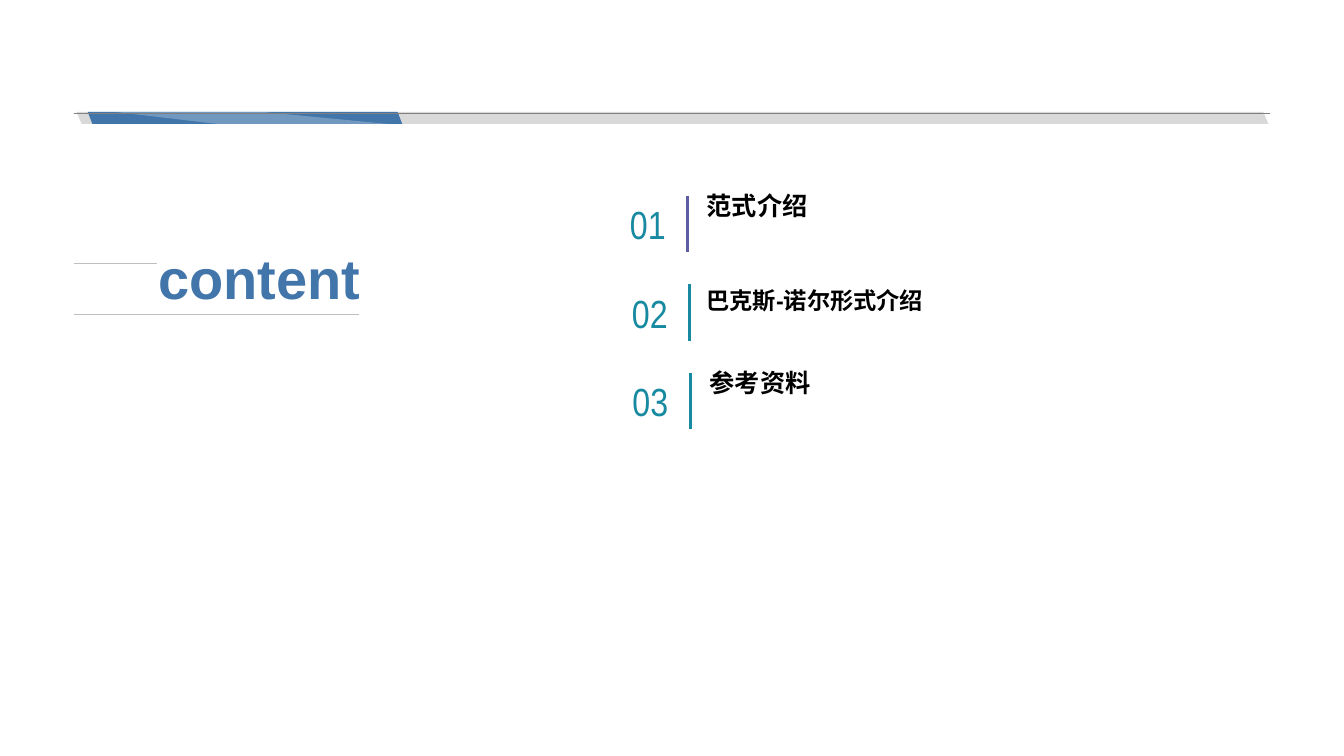
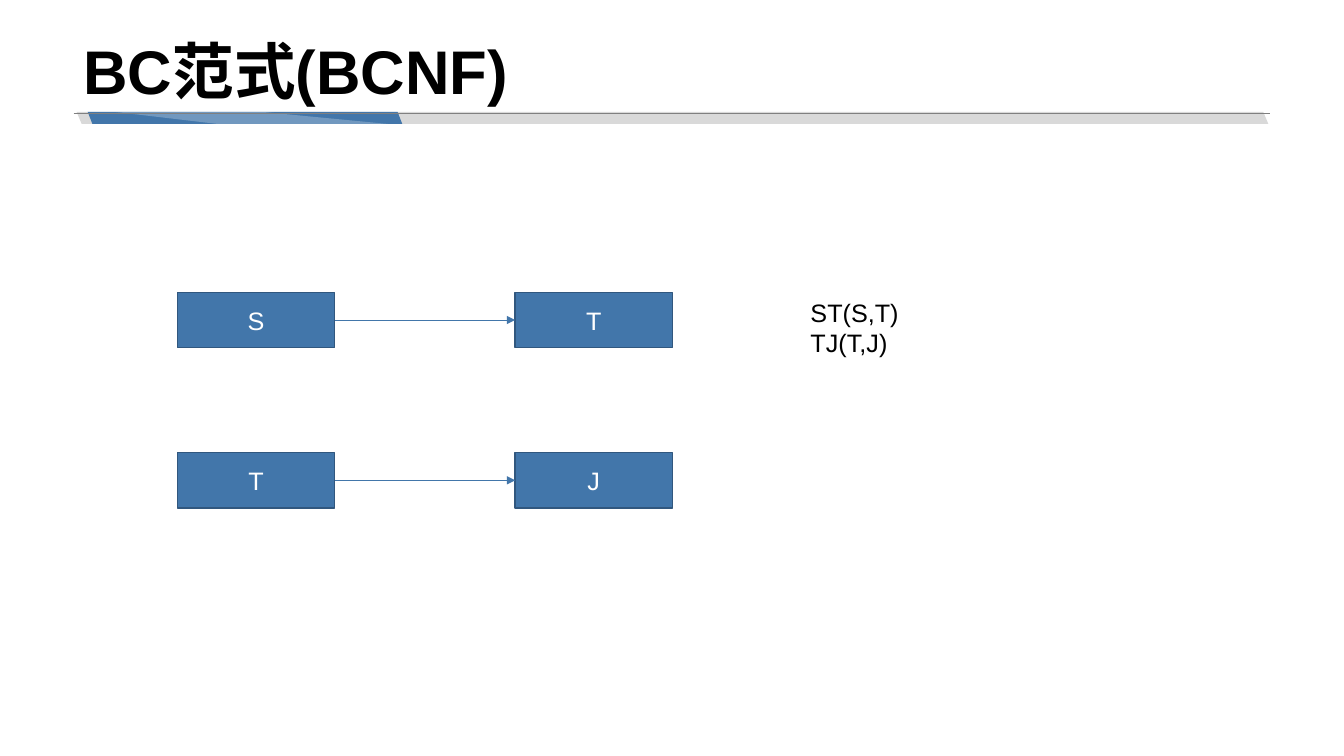
from lxml import etree
from pptx import Presentation
from pptx.dml.color import RGBColor
from pptx.enum.shapes import MSO_CONNECTOR, MSO_SHAPE
from pptx.enum.text import MSO_ANCHOR, PP_ALIGN
from pptx.oxml.ns import qn
from pptx.util import Inches, Pt

RECT, SLANTED = MSO_SHAPE.RECTANGLE, MSO_SHAPE.PARALLELOGRAM
STRAIGHT = MSO_CONNECTOR.STRAIGHT
TOP, MIDDLE, BOTTOM = MSO_ANCHOR.TOP, MSO_ANCHOR.MIDDLE, MSO_ANCHOR.BOTTOM
LEFT, CENTER = PP_ALIGN.LEFT, PP_ALIGN.CENTER
RIGHT_SIDE, LEFT_SIDE = 3, 1

COLORS = {
    "blue": "4276AA", "navy": "31577E", "teal": "178AA1", "violet": "5E5CA2",
    "band": "D9D9D9", "rule": "808080", "hairline": "BFBFBF",
    "black": "000000", "white": "FFFFFF",
}

# Content
CONTENT_TITLE = "content"
# number, number width, bar x, bar colour, heading, heading offset (x, y), size
AGENDA = [
    ("01", 0.51, 6.82, "violet", "范式介绍", (0, 0), 18),
    ("02", 0.55, 6.84, "teal", "巴克斯-诺尔形式介绍", (0, 0.05), 16.6),
    ("03", 0.56, 6.85, "teal", "参考资料", (0.03, 0), 18),
]
BCNF_TITLE = "BC范式(BCNF)"
DEPENDENCIES = [("S", "T"), ("T", "J")]
RELATIONS = ["ST(S,T)", "TJ(T,J)"]

# Grid, in inches
SLIDE_W, SLIDE_H = 13.33, 7.5
MARGIN, RIGHT_EDGE = 0.73, 12.6
BAND_Y, BAND_H = 1.11, 0.12
AGENDA_Y, AGENDA_STEP, BAR_H = 1.94, 0.88, 0.56
NUMBER_X, HEADING_X = 6.17, 6.91
NODE_X, NODE_Y = 1.76, 2.9
NODE_W, NODE_H = 1.56, 0.55
NODE_COL, NODE_ROW = 3.35, 1.59

STYLES = {
    "title": dict(size=44, bold=True, anchor=BOTTOM, spacing=0.9),
    "contents": dict(size=40, bold=True, color="blue", anchor=MIDDLE,
                     spacing=0.9, wrap=False),
    "number": dict(size=28, font="Arial Narrow", color="teal", anchor=MIDDLE,
                   align=CENTER, wrap=False, inset=0),
    "heading": dict(bold=True, anchor=BOTTOM, spacing=0.9),
    "node": dict(color="white", anchor=MIDDLE, align=CENTER),
    "body": dict(),
}


def rgb(name):
    return RGBColor.from_string(COLORS[name])


def write(sp, lines, style, **changes):
    """Fill a shape with paragraphs in a named style."""
    f = dict(size=18, font="Arial", color="black", bold=False, anchor=TOP,
             align=LEFT, spacing=None, wrap=True, inset=0.1)
    f.update(STYLES[style], **changes)
    tf = sp.text_frame
    tf.word_wrap, tf.vertical_anchor = f["wrap"], f["anchor"]
    tf.margin_left = tf.margin_right = Inches(f["inset"])
    for i, line in enumerate(lines):
        p = tf.paragraphs[0] if i == 0 else tf.add_paragraph()
        p.alignment, p.line_spacing = f["align"], f["spacing"]
        r = p.add_run()
        r.text = line
        for key, value in dict(name=f["font"], size=Pt(f["size"]),
                               bold=f["bold"]).items():
            setattr(r.font, key, value)
        r.font.color.rgb = rgb(f["color"])
        ea = etree.SubElement(r.font._element, qn("a:ea"))
        ea.set("typeface", f["font"])


def add_text(s, box, lines, style, **changes):
    write(s.shapes.add_textbox(*map(Inches, box)), lines, style, **changes)


def paint(sp, fill, line=None, width=1):
    sp.shadow.inherit = False
    sp.fill.solid()
    sp.fill.fore_color.rgb = rgb(fill)
    if line:
        sp.line.color.rgb = rgb(line)
        sp.line.width = Pt(width)
    else:
        sp.line.fill.background()


def add_shape(s, kind, box, fill, line=None):
    sp = s.shapes.add_shape(kind, *map(Inches, box))
    paint(sp, fill, line)
    return sp


def add_line(s, start, end, color, width):
    c = s.shapes.add_connector(STRAIGHT, *map(Inches, start + end))
    c.line.color.rgb = rgb(color)
    c.line.width = Pt(width)
    etree.SubElement(c._element.spPr, qn("a:effectLst"))
    return c


def add_arrow(s, source, target):
    c = add_line(s, (0, 0), (1, 1), "blue", 0.5)
    c.begin_connect(source, RIGHT_SIDE)
    c.end_connect(target, LEFT_SIDE)
    etree.SubElement(c.line._get_or_add_ln(), qn("a:tailEnd")).set("type", "triangle")


def add_band(s):
    """Draw the slanted header band with its highlight and rule."""
    for x, w, slant, fill in [(0.76, 11.82, 0.42, "band"), (0.87, 3.12, 0.39, "blue")]:
        sp = add_shape(s, SLANTED, (x, BAND_Y, w, BAND_H), fill)
        sp.adjustments[0] = slant
        sp._element.spPr.find(qn("a:xfrm")).set("flipH", "1")
    bottom = BAND_Y + BAND_H
    points = [(3.85, bottom), (2.6, BAND_Y), (1.14, BAND_Y), (2.16, bottom)]
    start, *rest = [tuple(map(Inches, pt)) for pt in points]
    outline = s.shapes.build_freeform(*start)
    outline.add_line_segments(rest, close=True)
    glint = outline.convert_to_shape()
    paint(glint, "white")
    clr = glint._element.spPr.find(qn("a:solidFill"))[0]
    etree.SubElement(clr, qn("a:alpha")).set("val", "25000")
    add_line(s, (MARGIN, 1.12), (RIGHT_EDGE, 1.12), "rule", 0.25)


def new_slide(prs, title=None):
    s = prs.slides.add_slide(prs.slide_layouts[6])
    add_band(s)
    if title:
        add_text(s, (MARGIN, 0, RIGHT_EDGE - MARGIN, 1.12), [title], "title")
    return s


def contents_slide(prs):
    s = new_slide(prs)
    for y, x_end in [(2.61, 1.56), (3.12, 3.56)]:
        add_line(s, (MARGIN, y), (x_end, y), "hairline", 0.5)
    for i, (number, width, bar_x, color, heading, (dx, dy), size) in enumerate(AGENDA):
        y = AGENDA_Y + i * AGENDA_STEP
        add_text(s, (NUMBER_X, y + 0.03, width, 0.5), [number], "number")
        add_line(s, (bar_x, y), (bar_x, y + BAR_H), color, 2.25)
        add_text(s, (HEADING_X + dx, y - 0.08 + dy, 3.95, 0.38), [heading],
                 "heading", size=size)
    add_text(s, (1.47, 2.43, 2.21, 0.72), [CONTENT_TITLE], "contents")


def bcnf_slide(prs):
    s = new_slide(prs, BCNF_TITLE)
    for row, names in enumerate(DEPENDENCIES):
        nodes = []
        for col, name in enumerate(names):
            box = (NODE_X + col * NODE_COL, NODE_Y + row * NODE_ROW, NODE_W, NODE_H)
            node = add_shape(s, RECT, box, "blue", "navy")
            write(node, [name], "node")
            nodes.append(node)
        add_arrow(s, *nodes)
    add_text(s, (7.94, NODE_Y, 3.29, 0.71), RELATIONS, "body")


def main():
    prs = Presentation()
    prs.slide_width, prs.slide_height = Inches(SLIDE_W), Inches(SLIDE_H)
    contents_slide(prs)
    bcnf_slide(prs)
    prs.save("out.pptx")


if __name__ == "__main__":
    main()
